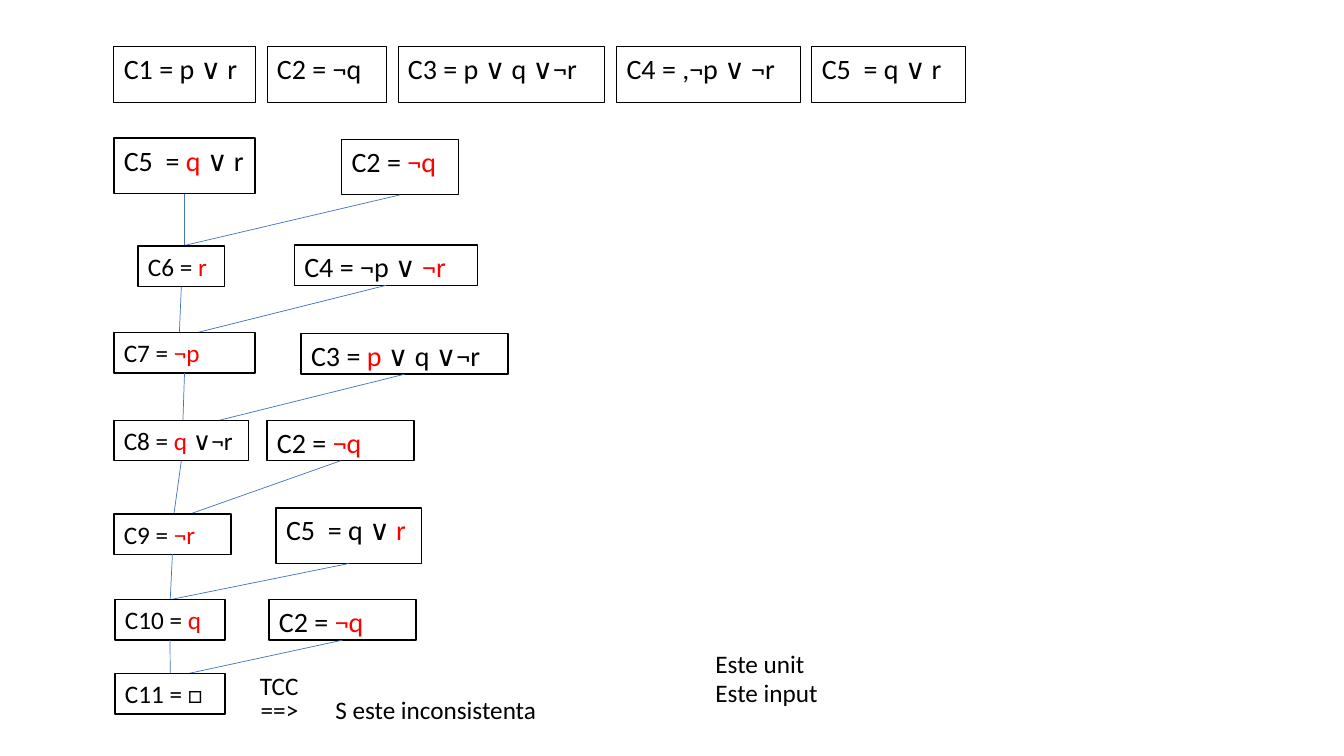
from typing import NamedTuple

from lxml import etree
from pptx import Presentation
from pptx.dml.color import RGBColor
from pptx.enum.shapes import MSO_CONNECTOR, MSO_SHAPE
from pptx.enum.text import MSO_ANCHOR, MSO_AUTO_SIZE, PP_ALIGN
from pptx.oxml.ns import qn
from pptx.util import Cm, Pt

RECT = MSO_SHAPE.RECTANGLE
STRAIGHT = MSO_CONNECTOR.STRAIGHT
TOP = MSO_ANCHOR.TOP
LEFT = PP_ALIGN.LEFT
GROW = MSO_AUTO_SIZE.SHAPE_TO_FIT_TEXT

BLACK, WHITE, RED, BLUE = "000000", "FFFFFF", "FF0000", "4472C4"
FONT = "Calibri"
TALL, LOW = 1.4, 1.02
CLAUSE_LEFT, CLAUSE_TOP, CLAUSE_GAP = 2.87, 1.17, 0.3


class Box(NamedTuple):
    """A clause in a frame, in cm; *stars* mark the red literal."""
    text: str
    x: float
    y: float
    w: float
    h: float = LOW
    size: int = 20
    line: float = 1


class Step(NamedTuple):
    """Two clauses to resolve and where their lines meet the resolvent."""
    left: Box
    right: Box
    left_end: tuple[float, float]
    right_end: tuple[float, float]


class Note(NamedTuple):
    """Unframed text, in cm."""
    text: str
    x: float
    y: float
    w: float


CLAUSES = [
    ("C1 = p ∨ r", 3.56),
    ("C2 = ¬q", 3.0),
    ("C3 = p ∨ q ∨¬r", 5.21),
    ("C4 = ,¬p ∨ ¬r", 4.62),
    ("C5  = q ∨ r", 3.86),
]
STEPS = [
    Step(Box("C5  = *q *∨ r", 2.87, 3.48, 3.56, TALL),
         Box("C2 = *¬q*", 8.61, 3.51, 2.95, TALL),
         (4.65, 6.18), (4.67, 6.18)),
    Step(Box("C6 = *r*", 3.48, 6.2, 2.18, size=18),
         Box("C4 = ¬p ∨ *¬r*", 7.42, 6.17, 4.62),
         (4.52, 8.41), (4.65, 8.46)),
    Step(Box("C7 = *¬p*", 2.87, 8.38, 3.56, size=18),
         Box("C3 = *p *∨ q ∨¬r", 7.59, 8.41, 5.21),
         (4.6, 10.92), (5.41, 10.62)),
    Step(Box("C8 = *q *∨¬r", 2.87, 10.59, 3.4, size=18),
         Box("C2 = *¬q*", 6.73, 10.59, 3.71),
         (4.34, 13.26), (4.34, 13.11)),
    Step(Box("C9 = *¬r*", 2.87, 12.95, 2.95, size=18),
         Box("C5  = q ∨ *r*", 6.96, 12.8, 3.66, TALL),
         (4.29, 15.11), (4.29, 15.11)),
    Step(Box("C10 = *q*", 2.9, 15.11, 2.77, size=18),
         Box("C2 = *¬q*", 6.78, 15.11, 3.71),
         (4.29, 17.07), (4.29, 17.07)),
]
EMPTY_CLAUSE = Box("C11 = □", 2.9, 16.97, 2.77, size=18)
NOTES = [
    Note("==>", 6.32, 17.37, 3.0),
    Note("TCC", 6.3, 16.76, 3.0),
    Note("S este inconsistenta", 8.2, 17.37, 9.09),
    Note("Este unit", 17.78, 16.21, 9.78),
    Note("Este input", 17.78, 16.94, 8.71),
]


def rgb(code: str) -> RGBColor:
    """Turn a hex string into a colour."""
    return RGBColor.from_string(code)


def write(sp, text: str, size: int) -> None:
    """Write left-aligned text, with the starred parts in red."""
    tf = sp.text_frame
    tf.word_wrap = True
    tf.vertical_anchor = TOP
    if size == 18:
        tf.auto_size = GROW
    p = tf.paragraphs[0]
    p.alignment = LEFT
    p.font.name, p.font.size = FONT, Pt(size)
    for i, part in enumerate(text.split("*")):
        if part:
            r = p.add_run()
            r.text = part
            r.font.color.rgb = rgb(RED if i % 2 else BLACK)


def draw_box(s, box: Box) -> None:
    """Draw a framed clause."""
    sp = s.shapes.add_shape(RECT, Cm(box.x), Cm(box.y), Cm(box.w), Cm(box.h))
    sp.shadow.inherit = False
    sp.fill.solid()
    sp.fill.fore_color.rgb = rgb(WHITE)
    sp.line.color.rgb = rgb(BLACK)
    sp.line.width = Pt(box.line)
    write(sp, box.text, box.size)


def draw_line(s, box: Box, end: tuple[float, float]) -> None:
    """Draw a line from the bottom centre of a box to an end point."""
    x, y = end
    line = s.shapes.add_connector(
        STRAIGHT, Cm(box.x + box.w / 2), Cm(box.y + box.h), Cm(x), Cm(y))
    line.line.color.rgb = rgb(BLUE)
    line.line.width = Pt(0.5)
    etree.SubElement(line._element.spPr, qn("a:effectLst"))


def draw_note(s, note: Note) -> None:
    """Draw unframed text."""
    sp = s.shapes.add_textbox(Cm(note.x), Cm(note.y), Cm(note.w), Cm(LOW))
    write(sp, note.text, 18)


prs = Presentation()
prs.slide_width, prs.slide_height = Cm(33.87), Cm(19.05)
s = prs.slides.add_slide(prs.slide_layouts[6])

x = CLAUSE_LEFT
for text, width in CLAUSES:
    draw_box(s, Box(text, x, CLAUSE_TOP, width, TALL, line=0.5))
    x += width + CLAUSE_GAP

for step in STEPS:
    draw_box(s, step.left)
    draw_box(s, step.right)
    draw_line(s, step.left, step.left_end)
    draw_line(s, step.right, step.right_end)
draw_box(s, EMPTY_CLAUSE)

for note in NOTES:
    draw_note(s, note)

prs.save("out.pptx")
